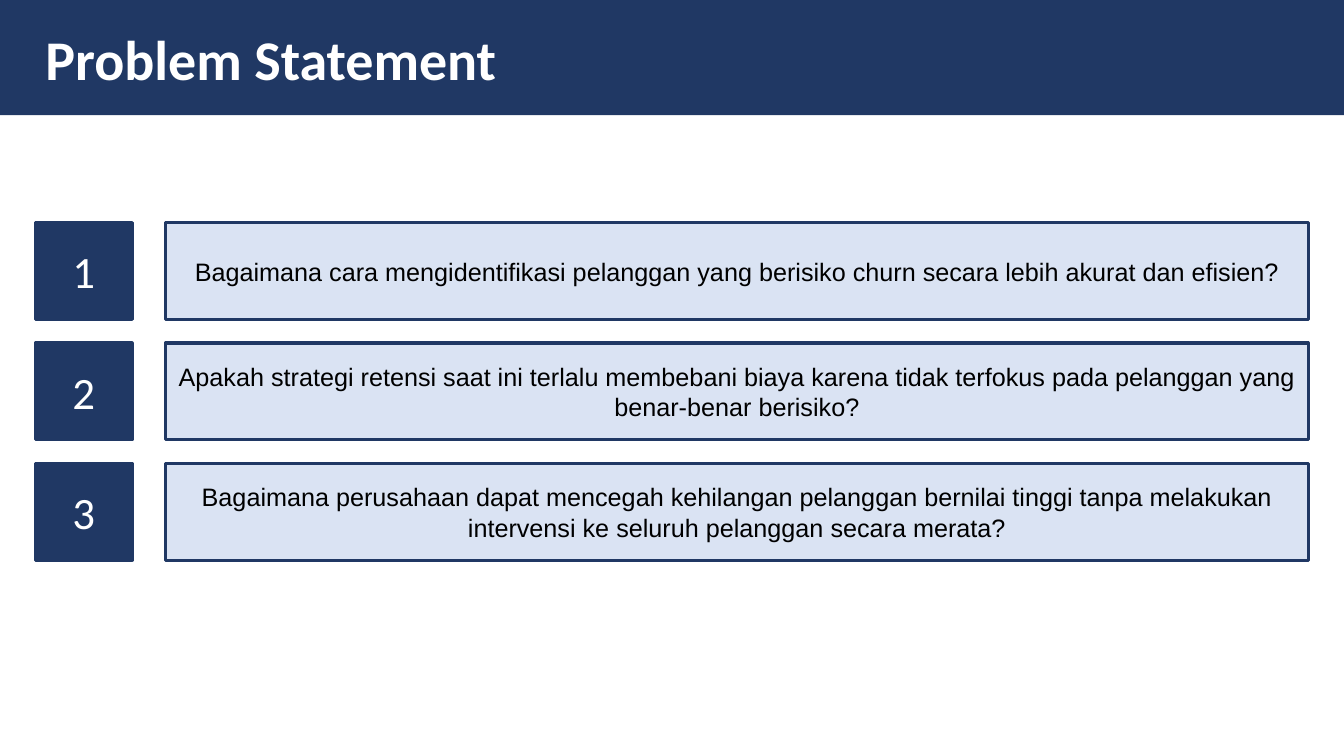
from pptx import Presentation
from pptx.dml.color import RGBColor
from pptx.enum.shapes import MSO_SHAPE
from pptx.enum.text import MSO_ANCHOR, MSO_AUTO_SIZE, PP_ALIGN
from pptx.util import Cm, Pt

NAVY, PALE, WHITE, BLACK = "203864", "DAE3F3", "FFFFFF", "000000"
WIDE, HIGH = 33.87, 19.05
ASKS = [
    "Bagaimana cara mengidentifikasi pelanggan yang berisiko churn secara lebih akurat dan efisien?",
    "Apakah strategi retensi saat ini terlalu membebani biaya karena tidak terfokus pada pelanggan yang benar-benar berisiko?",
    "Bagaimana perusahaan dapat mencegah kehilangan pelanggan bernilai tinggi tanpa melakukan intervensi ke seluruh pelanggan secara merata?",
]


def tint(code):
    return RGBColor.from_string(code)


def write(frame, text, size, face, shade, align, bold=False):
    frame.text = text
    frame.word_wrap = True
    frame.vertical_anchor = MSO_ANCHOR.MIDDLE
    par = frame.paragraphs[0]
    par.alignment = align
    par.font.size, par.font.name, par.font.bold = Pt(size), face, bold
    par.font.color.rgb = tint(shade)


def block(slide, left, top, width, height, fill):
    box = slide.shapes.add_shape(
        MSO_SHAPE.RECTANGLE, Cm(left), Cm(top), Cm(width), Cm(height))
    box.shadow.inherit = False
    box.fill.solid()
    box.fill.fore_color.rgb = tint(fill)
    box.line.color.rgb = tint(NAVY)
    box.line.width = Pt(2.25)
    return box


def header(slide, left, top, width, height):
    # Band, placed behind the title
    band = block(slide, left, top, width, height, NAVY)
    band.line.fill.background()
    slide.shapes._spTree.insert(2, band._element)
    # Title
    title = slide.shapes.title
    title.left, title.top = Cm(left + 0.89), Cm(top + 0.48)
    title.width, title.height = Cm(width / 2), Cm(height - 0.94)
    write(title.text_frame, "Problem Statement", 40, "Calibri", WHITE,
          PP_ALIGN.LEFT, True)
    title.text_frame.auto_size = MSO_AUTO_SIZE.NONE


def row(slide, left, top, width, height, num, ask):
    # Square number tile
    tile = block(slide, left, top, height, height, NAVY)
    write(tile.text_frame, str(num), 32, "Calibri", WHITE, PP_ALIGN.CENTER)
    # Question box
    inset = height + 0.84
    box = block(slide, left + inset, top, width - inset, height, PALE)
    write(box.text_frame, ask, 18, "Arial", BLACK, PP_ALIGN.CENTER)


def list_asks(slide, left, top, width, height):
    tall = 2.44
    step = (height - tall) / (len(ASKS) - 1)
    for i, ask in enumerate(ASKS):
        row(slide, left, top + i * step, width, tall, i + 1, ask)


def main():
    deck = Presentation()
    deck.slide_width, deck.slide_height = Cm(WIDE), Cm(HIGH)
    slide = deck.slides.add_slide(deck.slide_layouts.get_by_name("Title Only"))
    header(slide, 0, 0, WIDE, 2.9)
    list_asks(slide, 0.89, 5.61, 32.08, 8.51)
    deck.save("out.pptx")


if __name__ == "__main__":
    main()
